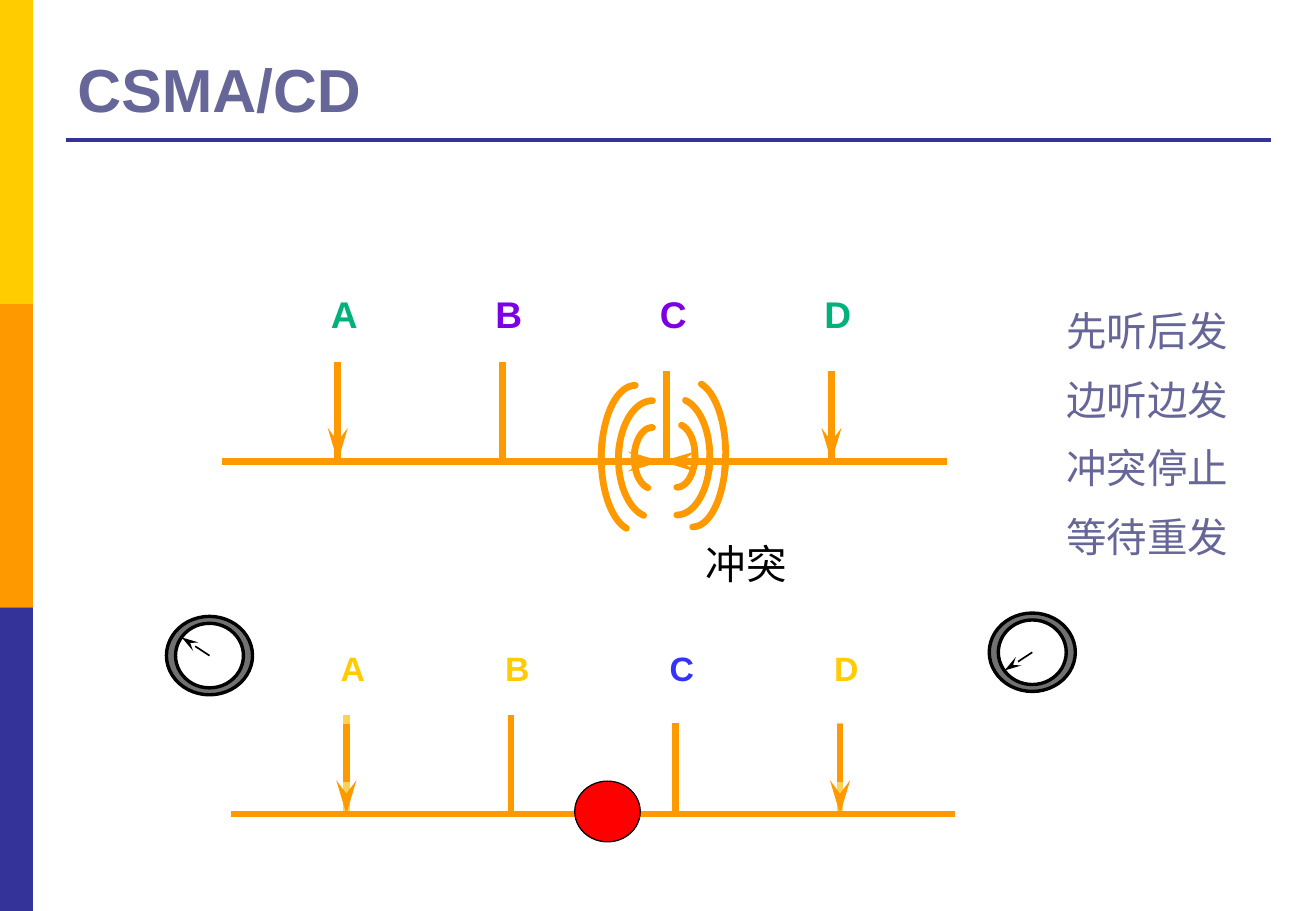
from dataclasses import dataclass
from math import cos, radians, sin

from lxml import etree
from pptx import Presentation
from pptx.dml.color import RGBColor
from pptx.enum.shapes import MSO_CONNECTOR, MSO_SHAPE
from pptx.enum.text import MSO_ANCHOR, PP_ALIGN
from pptx.oxml.ns import qn
from pptx.util import Cm, Pt

RECT, OVAL = MSO_SHAPE.RECTANGLE, MSO_SHAPE.OVAL
LINE = MSO_CONNECTOR.STRAIGHT
TOP, BOTTOM = MSO_ANCHOR.TOP, MSO_ANCHOR.BOTTOM
LEFT, CENTER = PP_ALIGN.LEFT, PP_ALIGN.CENTER

ORANGE, YELLOW, PALE, NAVY = "FF9900", "FFCC00", "FFD255", "333399"
SLATE, GREEN, PURPLE, BLUE = "666699", "00B179", "7D00E4", "3333FF"
BLACK, WHITE, GREY, RED = "000000", "FFFFFF", "717171", "FF0000"
THICK = 4
STEP = 3.44  # distance between stations


@dataclass
class Node:
    name: str
    color: str
    rise: float
    stem: str = ORANGE
    sends: bool = False


@dataclass
class Bus:
    x: float
    y: float
    size: int
    nodes: list[Node]


@dataclass
class Wave:
    x: float
    y: float
    rx: float
    ry: float
    turn: int


@dataclass
class Dial:
    x: float
    y: float
    tip: float


BUSES = [
    Bus(4.65, 9.65, 22, [
        Node("A", GREEN, 2.07, sends=True), Node("B", PURPLE, 2.07),
        Node("C", PURPLE, 1.9), Node("D", GREEN, 1.9, sends=True)]),
    Bus(4.83, 17.02, 20, [
        Node("A", YELLOW, 2.07, PALE, True), Node("B", YELLOW, 2.07),
        Node("C", BLUE, 1.9), Node("D", YELLOW, 1.9, PALE, True)]),
]
WAVES = [
    Wave(13.64, 9.58, 0.38, 0.64, 0), Wave(13.64, 9.6, 0.71, 1.22, 0),
    Wave(13.28, 9.58, 0.71, 1.52, 0), Wave(14.15, 9.53, 0.38, 0.66, 180),
    Wave(14.15, 9.55, 0.69, 1.22, 180), Wave(14.48, 9.5, 0.69, 1.52, 180),
]
ARCS = [(180, 270), (105, 196)]
DIALS = [Dial(4.38, 13.71, -0.38), Dial(21.58, 13.64, 0.38)]
RULES = ["先听后发", "边听边发", "冲突停止", "等待重发"]

deck = Presentation()
deck.slide_width, deck.slide_height = Cm(27.51), Cm(19.05)
slide = deck.slides.add_slide(deck.slide_layouts[6])
shapes = slide.shapes


def rgb(color: str) -> RGBColor:
    return RGBColor.from_string(color)


def block(kind: MSO_SHAPE, x: float, y: float, w: float, h: float,
          fill: str, edge: float = 0) -> None:
    item = shapes.add_shape(kind, Cm(x), Cm(y), Cm(w), Cm(h))
    item.shadow.inherit = False
    item.fill.solid()
    item.fill.fore_color.rgb = rgb(fill)
    if edge:
        item.line.color.rgb = rgb(BLACK)
        item.line.width = Pt(edge)
    else:
        item.line.fill.background()


def disc(x: float, y: float, w: float, h: float, fill: str, edge: float) -> None:
    block(OVAL, x - w / 2, y - h / 2, w, h, fill, edge)


def line(x1: float, y1: float, x2: float, y2: float, color: str = ORANGE,
         width: float = THICK, head: bool = False) -> None:
    item = shapes.add_connector(LINE, Cm(x1), Cm(y1), Cm(x2), Cm(y2))
    item.line.color.rgb = rgb(color)
    item.line.width = Pt(width)
    if head:
        etree.SubElement(item.line._get_or_add_ln(), qn("a:tailEnd"),
                         type="stealth", w="med", len="lg")
    etree.SubElement(item._element.spPr, qn("a:effectLst"))


def text(x: float, y: float, w: float, h: float, lines: list[str], size: int,
         color: str, font: str = "Times New Roman", bold: bool = False,
         align: PP_ALIGN = CENTER, anchor: MSO_ANCHOR = TOP,
         tight: bool = False) -> None:
    frame = shapes.add_textbox(Cm(x), Cm(y), Cm(w), Cm(h)).text_frame
    frame.word_wrap = not tight
    frame.vertical_anchor = anchor
    if tight:
        frame.margin_left = frame.margin_right = Cm(0.05)
        frame.margin_top = frame.margin_bottom = Cm(0.08)
    for i, words in enumerate(lines):
        para = frame.add_paragraph() if i else frame.paragraphs[0]
        para.alignment = align
        if i:
            para.space_before = Pt(size / 2)
        if tight:
            para.line_spacing = Pt(26)
        run = para.add_run()
        run.text = words
        run.font.name, run.font.size, run.font.bold = font, Pt(size), bold
        run.font.color.rgb = rgb(color)


def draw_bus(bus: Bus) -> None:
    stems = [bus.x + 2.41 + STEP * i for i in range(len(bus.nodes))]
    for x, node in zip(stems, bus.nodes):
        line(x, bus.y, x, bus.y - node.rise, node.stem)
    line(bus.x, bus.y, bus.x + 15.14, bus.y)
    for x, node in zip(stems, bus.nodes):
        text(x - 0.78, bus.y - 3.62, 1.83, 0.97, [node.name], bus.size,
             node.color, "Arial", True, tight=True)
        if node.sends:
            line(x, bus.y - 1.88, x, bus.y, head=True)


def draw_wave(wave: Wave, steps: int = 24) -> None:
    for start, end in ARCS:
        angles = [radians(wave.turn + start + (end - start) * i / steps)
                  for i in range(steps + 1)]
        dots = [(Cm(wave.x + wave.rx * cos(a)), Cm(wave.y + wave.ry * sin(a)))
                for a in angles]
        pen = shapes.build_freeform(*dots[0])
        pen.add_line_segments(dots[1:], close=False)
        arc = pen.convert_to_shape()
        arc.shadow.inherit = False
        arc.fill.background()
        arc.line.color.rgb = rgb(ORANGE)
        arc.line.width = Pt(THICK)
        arc.line._get_or_add_ln().set("cap", "rnd")


def draw_dial(dial: Dial) -> None:
    disc(dial.x, dial.y, 1.8, 1.64, GREY, 2)
    disc(dial.x, dial.y, 1.42, 1.35, WHITE, 2)
    line(dial.x, dial.y, dial.x - 0.58, dial.y + dial.tip, BLACK, 1, True)


# Side bands, title and rule
for i, fill in enumerate([YELLOW, ORANGE, NAVY]):
    block(RECT, 0, 6.35 * i, 0.69, 6.35, fill)
line(1.37, 2.92, 26.57, 2.92, NAVY, 2.25)
text(1.37, 0.53, 25.17, 2.21, ["CSMA/CD"], 36, SLATE, "Arial", True,
     LEFT, BOTTOM)

# Both buses with their stations
for bus in BUSES:
    draw_bus(bus)

# Signals that meet, and the collision
for start in (7.06, 17.4):
    line(start, 9.65, 13.83, 9.65, head=True)
for wave in WAVES:
    draw_wave(wave)
text(12.62, 11.15, 5.97, 1.27, ["冲突"], 24, BLACK)

# Rules of the protocol
text(21.34, 6.27, 5.28, 5.89, RULES, 24, SLATE)

# Dials and the jam mark
for dial in DIALS:
    draw_dial(dial)
disc(12.7, 16.97, 1.37, 1.27, RED, 0.75)

deck.save("out.pptx")
